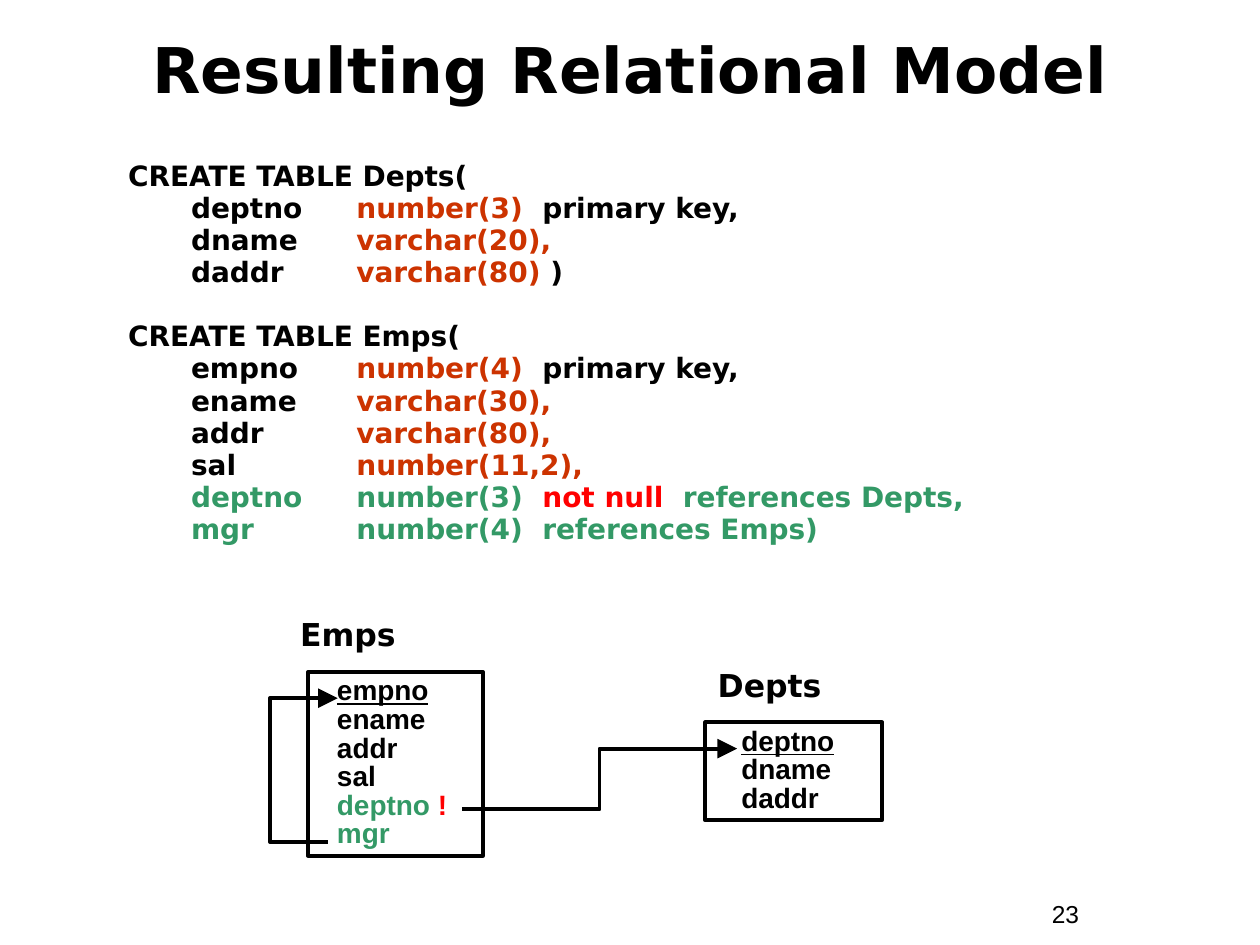
from pptx import Presentation
from pptx.dml.color import RGBColor
from pptx.enum.shapes import MSO_CONNECTOR as Connector, MSO_SHAPE as Shape
from pptx.enum.text import MSO_ANCHOR as Anchor, MSO_AUTO_SIZE as AutoSize, PP_ALIGN as Align
from pptx.oxml.ns import qn
from pptx.util import Pt
from lxml.etree import SubElement

BLACK = RGBColor(0x00, 0x00, 0x00)
RUST = RGBColor(0xCC, 0x33, 0x00)
GREEN = RGBColor(0x33, 0x99, 0x66)
RED = RGBColor(0xFF, 0x00, 0x00)
SQL_FONT, BOX_FONT = "DejaVu Sans", "Arial"

# Content: each line is a list of (text, colour) spans
TITLE = "Resulting Relational Model"
PAGE_NUMBER = "23"
STATEMENTS = [
    ("CREATE TABLE Depts(", [
        [("deptno\t", BLACK), ("number(3)", RUST), ("  primary key,", BLACK)],
        [("dname\t", BLACK), ("varchar(20),", RUST)],
        [("daddr\t", BLACK), ("varchar(80) ", RUST), (")", BLACK)],
    ]),
    ("CREATE TABLE Emps(", [
        [("empno\t", BLACK), ("number(4)", RUST), ("  primary key,", BLACK)],
        [("ename\t", BLACK), ("varchar(30),", RUST)],
        [("addr\t", BLACK), ("varchar(80),", RUST)],
        [("sal\t", BLACK), ("number(11,2),", RUST)],
        [("deptno\tnumber(3)  ", GREEN), ("not null", RED), ("  references Depts,", GREEN)],
        [("mgr\tnumber(4)  references Emps)", GREEN)],
    ]),
]
# Tables: name, label place, box place, text indent, fields (the first is the key)
TABLES = [
    ("Emps", (164.4, 348, 155, 29), (176, 384, 100, 105), 9.5, [
        [("empno", BLACK)], [("ename", BLACK)], [("addr", BLACK)], [("sal", BLACK)],
        [("deptno ", GREEN), ("!", RED)], [("mgr", GREEN)],
    ]),
    ("Depts", (403, 376.8, 95, 29), (403, 412.8, 101, 56), 13.5, [
        [("deptno", BLACK)], [("dname", BLACK)], [("daddr", BLACK)],
    ]),
]
# References: start, end, x of the vertical part
REFERENCES = [
    ((264, 462.4), (421.2, 427.8), 342.6),
    ((187.4, 481), (193, 399), 154.3),
]
# Statement layout: (left margin, first-line offset) for heads and for columns
HEAD_INDENT, COLUMN_INDENT = (27, -27), (58.5, -22.5)
TAB_STEP, LINE_GAP, STATEMENT_GAP = 72, 2, 20.4


def place(shape, left, top, width, height):
    shape.left, shape.top, shape.width, shape.height = map(Pt, (left, top, width, height))


def add_spans(para, spans, font, size, bold=True, underline=False):
    for text, colour in spans:
        span = para.add_run()
        span.text = text
        span.font.name, span.font.size = font, Pt(size)
        span.font.bold, span.font.underline = bold, underline
        span.font.color.rgb = colour


def next_para(frame, number):
    return frame.add_paragraph() if number else frame.paragraphs[0]


def add_label(page, area, text, font, size, bold=True):
    frame = page.shapes.add_textbox(*map(Pt, area)).text_frame
    frame.word_wrap = True
    add_spans(frame.paragraphs[0], [(text, BLACK)], font, size, bold)


def add_table_box(page, area, indent, fields):
    box = page.shapes.add_shape(Shape.RECTANGLE, *map(Pt, area))
    box.shadow.inherit = False
    box.fill.background()
    box.line.color.rgb, box.line.width = BLACK, Pt(2.25)
    frame = box.text_frame
    frame.word_wrap, frame.vertical_anchor = True, Anchor.TOP
    for number, spans in enumerate(fields):
        para = next_para(frame, number)
        para.alignment, para.line_spacing = Align.LEFT, 0.85
        para._p.get_or_add_pPr().set("marL", str(Pt(indent)))
        add_spans(para, spans, BOX_FONT, 16, underline=number == 0)


def add_reference(page, start, end, bend):
    arrow = page.shapes.add_connector(Connector.ELBOW, *map(Pt, start + end))
    arrow.line.color.rgb, arrow.line.width = BLACK, Pt(2.25)
    SubElement(arrow.line._get_or_add_ln(), qn("a:tailEnd"), type="triangle", w="lg", len="lg")
    props = arrow._element.spPr
    SubElement(props, qn("a:effectLst"))
    ratio = round((bend - start[0]) / (end[0] - start[0]) * 100000)
    guides = props.find(qn("a:prstGeom")).find(qn("a:avLst"))
    SubElement(guides, qn("a:gd"), name="adj1", fmla=f"val {ratio}")


def fill_statements(frame):
    lines = []
    for number, (head, columns) in enumerate(STATEMENTS):
        lines.append(([(head, BLACK)], HEAD_INDENT, STATEMENT_GAP if number else 0))
        lines += [(spans, COLUMN_INDENT, LINE_GAP) for spans in columns]
    for number, (spans, (margin, offset), gap) in enumerate(lines):
        para = next_para(frame, number)
        para.line_spacing, para.space_before = 0.85, Pt(gap)
        props = para._p.get_or_add_pPr()
        props.set("marL", str(Pt(margin)))
        props.set("indent", str(Pt(offset)))
        props.set("defTabSz", str(Pt(TAB_STEP)))
        SubElement(props, qn("a:buNone"))
        tabs = SubElement(props, qn("a:tabLst"))
        SubElement(tabs, qn("a:tab"), pos=str(Pt(2 * TAB_STEP)), algn="l")
        add_spans(para, spans, SQL_FONT, 16)


def main():
    deck = Presentation()
    deck.slide_width, deck.slide_height = Pt(720), Pt(540)
    page = deck.slides.add_slide(deck.slide_layouts[1])

    # Title and statements
    title, body = page.placeholders
    place(title, 72, 18, 576, 42)
    place(body, 66, 90, 612, 246)
    for holder, anchor in ((title, Anchor.MIDDLE), (body, Anchor.TOP)):
        holder.text_frame.auto_size = AutoSize.NONE
        holder.text_frame.vertical_anchor = anchor
    title.text_frame.paragraphs[0].alignment = Align.CENTER
    add_spans(title.text_frame.paragraphs[0], [(TITLE, BLACK)], SQL_FONT, 36)
    fill_statements(body.text_frame)

    # Diagram
    for name, label_area, box_area, indent, fields in TABLES:
        add_label(page, label_area, name, SQL_FONT, 18)
        add_table_box(page, box_area, indent, fields)
    for start, end, bend in REFERENCES:
        add_reference(page, start, end, bend)

    # Page number
    add_label(page, (594, 510, 66, 24), PAGE_NUMBER, BOX_FONT, 14, bold=False)
    deck.save("out.pptx")


if __name__ == "__main__":
    main()
